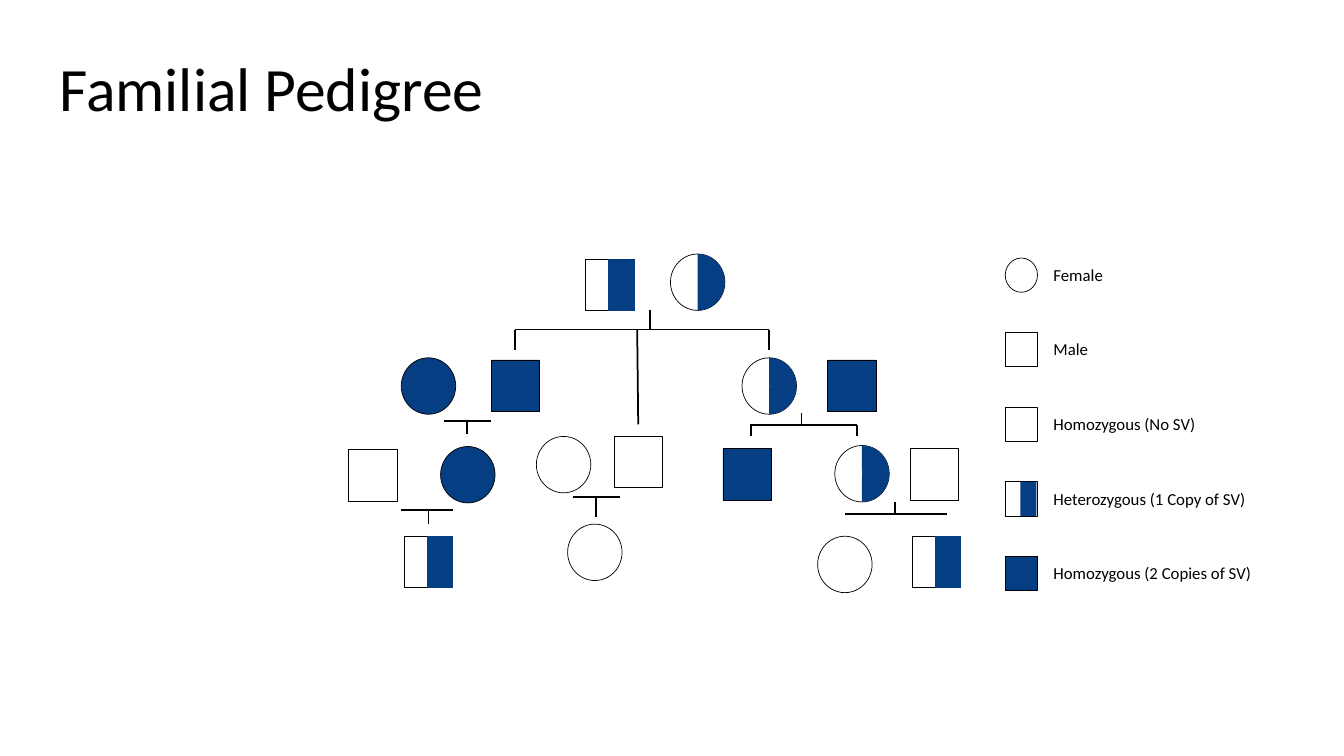
from lxml import etree
from pptx import Presentation
from pptx.dml.color import RGBColor
from pptx.enum.shapes import MSO_CONNECTOR, MSO_SHAPE
from pptx.enum.text import MSO_ANCHOR, MSO_AUTO_SIZE, PP_ALIGN
from pptx.oxml.ns import qn
from pptx.util import Inches, Pt

BLACK = RGBColor(0x00, 0x00, 0x00)
NAVY = RGBColor(0x06, 0x3E, 0x83)
MALE = MSO_SHAPE.RECTANGLE
FEMALE = MSO_SHAPE.OVAL
HALF_CIRCLE = MSO_SHAPE.PIE
STRAIGHT = MSO_CONNECTOR.STRAIGHT

MALE_SIZE = (0.48, 0.51)
FEMALE_SIZE = (0.54, 0.56)
KEY_SIZE = (0.32, 0.34)
TITLE_FONT = {"name": "Calibri", "size": Pt(44)}
KEY_FONT = {"name": "Calibri", "size": Pt(12)}
TITLE_FRAME = {"vertical_anchor": MSO_ANCHOR.MIDDLE, "word_wrap": True, "auto_size": MSO_AUTO_SIZE.NONE}
KEY_FRAME = {"word_wrap": True, "auto_size": MSO_AUTO_SIZE.SHAPE_TO_FIT_TEXT}

prs = Presentation()
prs.slide_width = Inches(13.33)
prs.slide_height = Inches(7.5)
slide = prs.slides.add_slide(prs.slide_layouts[5])


def add_symbol(kind, left, top, size, fill=None, outline=BLACK, weight=0.5):
    symbol = slide.shapes.add_shape(kind, Inches(left), Inches(top), Inches(size[0]), Inches(size[1]))
    symbol.shadow.inherit = False
    if fill is None:
        symbol.fill.background()
    else:
        symbol.fill.solid()
        symbol.fill.fore_color.rgb = fill
    if outline is None:
        symbol.line.fill.background()
    else:
        symbol.line.color.rgb = outline
        symbol.line.width = Pt(weight)
    return symbol


def write_text(holder, text, frame_format, font_format):
    frame = holder.text_frame
    frame.text = text
    for name, value in frame_format.items():
        setattr(frame, name, value)
    paragraph = frame.paragraphs[0]
    paragraph.alignment = PP_ALIGN.LEFT
    font = paragraph.runs[0].font
    for name, value in font_format.items():
        setattr(font, name, value)
    font.color.rgb = BLACK
    return paragraph


title = slide.shapes.title
title.left, title.top = Inches(0.49), Inches(0.18)
title.width, title.height = Inches(11.5), Inches(1.45)
write_text(title, "Familial Pedigree", TITLE_FRAME, TITLE_FONT).line_spacing = 0.9

no_copy = [
    (MALE, 6.09, 4.33), (MALE, 9.03, 4.45), (MALE, 3.46, 4.46),
    (FEMALE, 5.32, 4.33), (FEMALE, 5.63, 5.2), (FEMALE, 8.11, 5.32),
]
one_copy = [
    (MALE, 5.81, 2.57), (MALE, 4.01, 5.32), (MALE, 9.05, 5.32),
    (FEMALE, 6.65, 2.52), (FEMALE, 7.36, 3.55), (FEMALE, 8.28, 4.42),
]
two_copies = [
    (MALE, 4.87, 3.57), (MALE, 8.21, 3.57), (MALE, 7.17, 4.45),
    (FEMALE, 3.98, 3.55), (FEMALE, 4.37, 4.43),
]
sizes = {MALE: MALE_SIZE, FEMALE: FEMALE_SIZE}
for people, fill in ((no_copy, None), (one_copy, None), (two_copies, NAVY)):
    for sex, left, top in people:
        add_symbol(sex, left, top, sizes[sex], fill)

family_lines = [
    (6.45, 3.08, 6.45, 3.27), (5.11, 3.27, 7.63, 3.27),
    (5.11, 3.27, 5.11, 3.47), (6.32, 3.27, 6.33, 4.21), (7.63, 3.27, 7.63, 3.47),
    (4.4, 4.18, 4.87, 4.18), (4.63, 4.18, 4.63, 4.31),
    (3.98, 5.06, 4.49, 5.06), (4.25, 5.06, 4.25, 5.2),
    (5.68, 4.93, 6.15, 4.93), (5.91, 4.93, 5.91, 5.13),
    (7.95, 4.1, 7.95, 4.22), (7.44, 4.22, 8.5, 4.22),
    (7.45, 4.22, 7.45, 4.33), (8.5, 4.22, 8.5, 4.33),
    (8.88, 4.98, 8.88, 5.1), (8.38, 5.1, 9.39, 5.1),
]
for ends in family_lines:
    family_line = slide.shapes.add_connector(STRAIGHT, *[Inches(end) for end in ends])
    family_line.line.color.rgb = BLACK
    family_line.line.width = Pt(1.25)
    etree.SubElement(family_line._element.spPr, qn("a:effectLst"))

for sex, left, top in one_copy:
    if sex == MALE:
        add_symbol(MALE, left + 0.23, top, (0.25, 0.51), NAVY, NAVY, 0)
    else:
        half = add_symbol(HALF_CIRCLE, left, top, FEMALE_SIZE, NAVY, None)
        half.adjustments[0] = 161.85
        half.adjustments[1] = 54.17

legend = [
    ("Female", FEMALE, None, 0.8),
    ("Male", MALE, None, 0.8),
    ("Homozygous (No SV)", MALE, None, 1.74),
    ("Heterozygous (1 Copy of SV)", MALE, None, 2.15),
    ("Homozygous (2 Copies of SV)", MALE, NAVY, 2.3),
]
for row, (meaning, kind, fill, width) in enumerate(legend):
    top = 2.56 + row * 0.74
    add_symbol(kind, 9.97, top, KEY_SIZE, fill)
    if meaning.startswith("Heterozygous"):
        add_symbol(MALE, 10.12, top, (0.16, 0.34), NAVY, None)
    label = slide.shapes.add_textbox(Inches(10.35), Inches(top + 0.015), Inches(width), Inches(0.3))
    write_text(label, meaning, KEY_FRAME, KEY_FONT)

prs.save("out.pptx")
